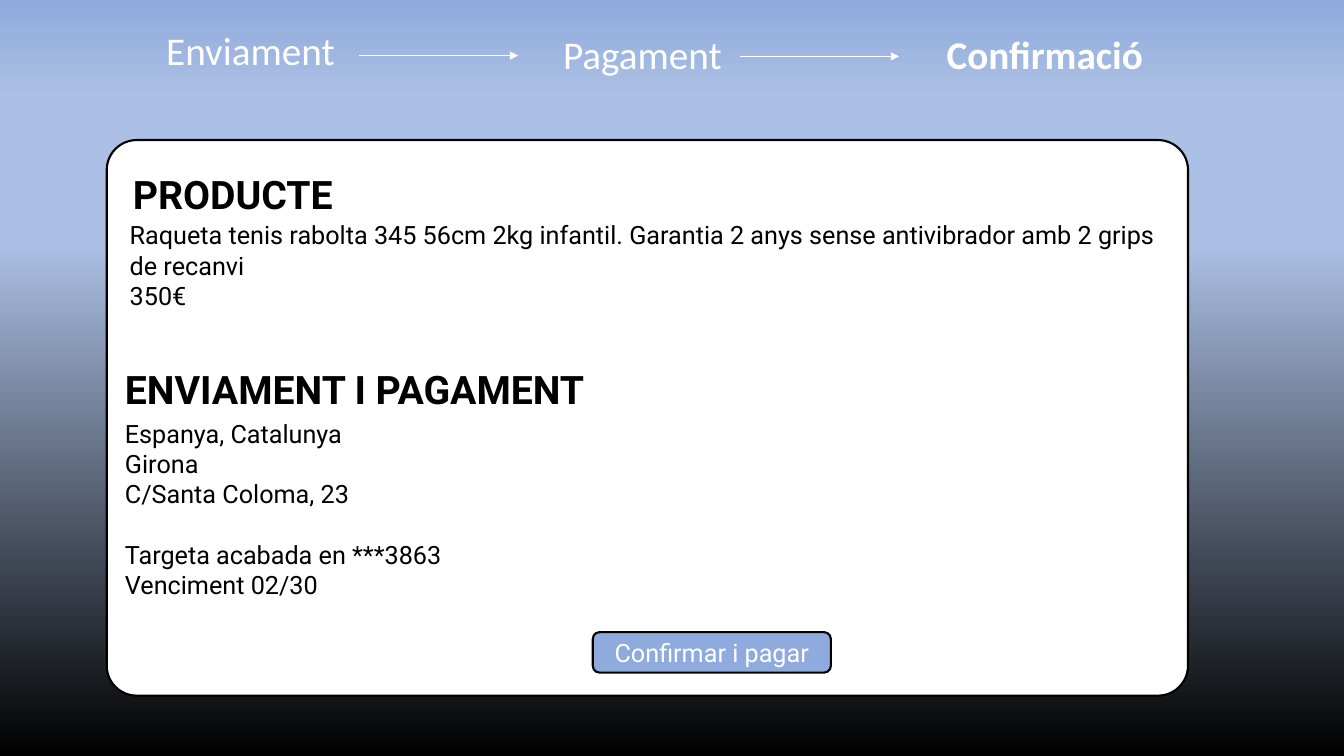
import pptx
import pptx.util
import pptx.dml.color
import pptx.enum.shapes
import pptx.enum.text
import pptx.oxml
import pptx.oxml.ns
from dataclasses import dataclass

Cm, Pt = pptx.util.Cm, pptx.util.Pt


@dataclass(frozen=True)
class Theme:
    white: str = "FFFFFF"
    black: str = "000000"
    blue: str = "8FAADC"
    pale: str = "ABC0E4"
    menu: str = "Calibri"
    body: str = "Roboto"
    large: float = 28
    small: float = 18
    gap: float = 21.5
    edge: float = 1.5
    thin: float = 0.5


theme = Theme()

# Content: boxes are left, top, width, height in cm
steps = [
    ("Enviament", (3.94, 0.53, 5, 1.45)),
    ("Pagament", (13.94, 0.64, 5, 1.45)),
]
title = ("Confirmació", (23.6, 0.64, 6, 1.45))
arrows = [(9.04, 1.4), (18.64, 1.42)]
reach = 4.02
card = (2.69, 3.53, 27.25, 14)
heads = [
    ("PRODUCTE", (3.1, 4.17, 6.83, 2.24)),
    ("ENVIAMENT I PAGAMENT", (2.9, 9.07, 12.95, 2.24)),
]
# Each body box holds groups of lines, set apart by a gap
bodies = [
    ([["Raqueta tenis rabolta 345 56cm 2kg infantil. "
       "Garantia 2 anys sense antivibrador amb 2 grips de recanvi"]],
     (3.02, 5.41, 26.85, 1.8)),
    ([["350€"]], (3.02, 6.93, 14, 1.8)),
    ([["Espanya, Catalunya", "Girona", "C/Santa Coloma, 23"],
      ["Targeta acabada en ***3863", "Venciment 02/30"]],
     (2.9, 10.41, 26.85, 4.88)),
]
button = ("Confirmar i pagar", (14.94, 15.93, 6, 1.02))
stops = [(0, theme.blue), (13, theme.pale), (32, theme.pale), (100, theme.black)]


def rgb(code):
    return pptx.dml.color.RGBColor.from_string(code)


def place(box):
    return [Cm(side) for side in box]


def write(shape, groups, font, size, color, bold=False, center=False):
    frame = shape.text_frame
    frame.word_wrap = True
    frame.auto_size = pptx.enum.text.MSO_AUTO_SIZE.NONE
    anchor = pptx.enum.text.MSO_ANCHOR
    frame.vertical_anchor = anchor.MIDDLE if center else anchor.TOP
    align = pptx.enum.text.PP_ALIGN
    lines = [(g, n, line) for g, group in enumerate(groups)
             for n, line in enumerate(group)]
    for i, (g, n, line) in enumerate(lines):
        para = frame.add_paragraph() if i else frame.paragraphs[0]
        para.alignment = align.CENTER if center else align.LEFT
        para.line_spacing = 1.0
        para.space_before = Pt(theme.gap if g and n == 0 else 0)
        run = para.add_run()
        run.text = line
        run.font.name = font
        run.font.size = Pt(size)
        run.font.bold = bold
        run.font.color.rgb = rgb(color)


def add_text(slide, groups, box, *style):
    write(slide.shapes.add_textbox(*place(box)), groups, *style)


def add_panel(slide, box, fill, round_by):
    kind = pptx.enum.shapes.MSO_SHAPE.ROUNDED_RECTANGLE
    shape = slide.shapes.add_shape(kind, *place(box))
    shape.adjustments[0] = round_by
    shape.shadow.inherit = False
    shape.fill.solid()
    shape.fill.fore_color.rgb = rgb(fill)
    shape.line.color.rgb = rgb(theme.black)
    shape.line.width = Pt(theme.edge)
    return shape


def add_arrow(slide, left, top):
    kind = pptx.enum.shapes.MSO_CONNECTOR.STRAIGHT
    arrow = slide.shapes.add_connector(kind, *place((left, top, left + reach, top)))
    arrow.line.color.rgb = rgb(theme.white)
    arrow.line.width = Pt(theme.thin)
    make, qn = pptx.oxml.xmlchemy.OxmlElement, pptx.oxml.ns.qn
    tail = make("a:tailEnd")
    tail.set("type", "triangle")
    props = arrow.element.find(qn("p:spPr"))
    props.find(qn("a:ln")).append(tail)
    props.append(make("a:effectLst"))


def paint_back(slide):
    fill = slide.background.fill
    fill.gradient()
    fill.gradient_angle = 270
    make, qn = pptx.oxml.xmlchemy.OxmlElement, pptx.oxml.ns.qn
    ramp = next(slide.element.iter(qn("a:gsLst")))
    for old in list(ramp):
        ramp.remove(old)
    for pos, code in stops:
        stop, color = make("a:gs"), make("a:srgbClr")
        stop.set("pos", str(pos * 1000))
        color.set("val", code)
        stop.append(color)
        ramp.append(stop)


def main():
    deck = pptx.Presentation()
    deck.slide_width, deck.slide_height = Cm(33.87), Cm(19.05)
    slide = deck.slides.add_slide(deck.slide_layouts[5])
    paint_back(slide)

    # Steps of the order, the current one as title
    menu = (theme.menu, theme.large, theme.white)
    name, box = title
    head = slide.shapes.title
    head.left, head.top, head.width, head.height = place(box)
    write(head, [[name]], *menu, True)
    for name, box in steps:
        add_text(slide, [[name]], box, *menu)
    for left, top in arrows:
        add_arrow(slide, left, top)

    # Card with the order details
    add_panel(slide, card, theme.white, 0.054)
    for groups, box in bodies:
        add_text(slide, groups, box, theme.body, theme.small, theme.black)
    for name, box in heads:
        add_text(slide, [[name]], box, theme.body, theme.large, theme.black, True)

    # Confirm button
    name, box = button
    panel = add_panel(slide, box, theme.blue, 0.167)
    write(panel, [[name]], theme.body, theme.small, theme.white, False, True)

    deck.save("out.pptx")


if __name__ == "__main__":
    main()
